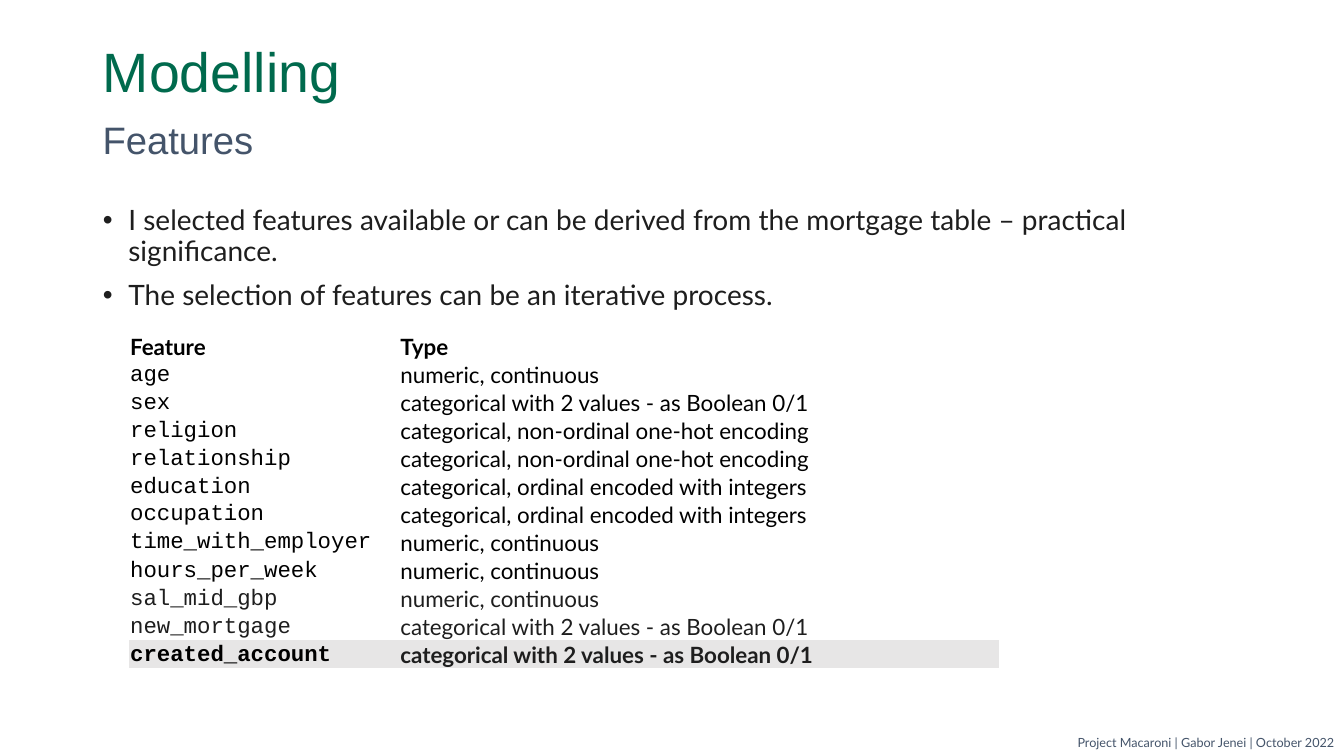
from pptx import Presentation
from pptx.dml.color import RGBColor
from pptx.enum.text import MSO_ANCHOR as Anchor, MSO_AUTO_SIZE as AutoSize, PP_ALIGN as Align
from pptx.util import Cm, Pt

TITLE = "Modelling"
SUBTITLE = "Features"
POINTS = [
    "I selected features available or can be derived from the mortgage table – practical significance.",
    "The selection of features can be an iterative process.",
]
FOOTER = "Project Macaroni | Gabor Jenei | October 2022"

NUMERIC = "numeric, continuous"
BOOLEAN = "categorical with 2 values - as Boolean 0/1"
ONE_HOT = "categorical, non-ordinal one-hot encoding"
ORDINAL = "categorical, ordinal encoded with integers"
HEADER = ("Feature", "Type")
FEATURES = [
    ("age", NUMERIC),
    ("sex", BOOLEAN),
    ("religion", ONE_HOT),
    ("relationship", ONE_HOT),
    ("education", ORDINAL),
    ("occupation", ORDINAL),
    ("time_with_employer", NUMERIC),
    ("hours_per_week", NUMERIC),
    ("sal_mid_gbp", NUMERIC),
    ("new_mortgage", BOOLEAN),
    ("created_account", BOOLEAN),
]
DARK_TEXT = {"sal_mid_gbp", "new_mortgage"}
TARGET = "created_account"

COLORS = {
    "green": "006A4D",
    "slate": "44546A",
    "ink": "1E1E1E",
    "black": "000000",
    "highlight": "E7E6E6",
}
PLAIN_TABLE = "{2D5ABB26-0587-4C30-8999-92F81FD0307C}"

LEFT, WIDTH = Cm(2.34), Cm(29.21)
HEADING_HEIGHT = Cm(1.7)
COLUMN_WIDTHS = Cm(6.81), Cm(15.11)
ROW_HEIGHT = Cm(0.69)
CELL_INSET = Cm(0.03)


def place(shape, left, top, width, height):
    shape.left, shape.top, shape.width, shape.height = left, top, width, height


def style(paragraph, font, size, color, bold=False):
    paragraph.font.name = font
    paragraph.font.size = Pt(size)
    paragraph.font.bold = bold
    paragraph.font.color.rgb = RGBColor.from_string(COLORS[color])


def write_line(shape, text, font, size, color, align=Align.LEFT, anchor=Anchor.MIDDLE):
    frame = shape.text_frame
    frame.word_wrap = True
    frame.auto_size = AutoSize.NONE
    frame.vertical_anchor = anchor
    frame.text = text
    line = frame.paragraphs[0]
    line.alignment = align
    line.line_spacing = 0.9
    style(line, font, size, color)


def fill_cell(cell, text, font, color, bold, anchor, highlighted):
    cell.margin_left = cell.margin_right = cell.margin_top = CELL_INSET
    cell.margin_bottom = 0
    cell.vertical_anchor = anchor
    if highlighted:
        cell.fill.solid()
        cell.fill.fore_color.rgb = RGBColor.from_string(COLORS["highlight"])
    else:
        cell.fill.background()
    cell.text = text
    style(cell.text_frame.paragraphs[0], font, 16, color, bold)


def add_points(body):
    place(body, LEFT, Cm(5.08), WIDTH, Cm(12.09))
    frame = body.text_frame
    frame.auto_size = AutoSize.NONE
    frame.text = "\n".join(POINTS)
    for index, point in enumerate(frame.paragraphs):
        properties = point._p.get_or_add_pPr()
        properties.set("marL", str(Cm(0.64)))
        properties.set("indent", str(-Cm(0.64)))
        point.line_spacing = 0.9
        point.space_before = Pt(10 if index else 0)
        style(point, "Lato", 20, "ink")


def add_features(slide):
    rows = len(FEATURES) + 1
    table = slide.shapes.add_table(
        rows, 2, Cm(3.25), Cm(8.38), sum(COLUMN_WIDTHS), rows * ROW_HEIGHT
    ).table
    table.first_row = table.horz_banding = False
    table._tbl.tblPr[0].text = PLAIN_TABLE
    for column, width in zip(table.columns, COLUMN_WIDTHS):
        column.width = width

    for cell, heading in zip(table.rows[0].cells, HEADER):
        fill_cell(cell, heading, "Lato", "black", True, Anchor.BOTTOM, False)
    for index, (feature, kind) in enumerate(FEATURES, start=1):
        is_target = feature == TARGET
        name_color = "ink" if feature in DARK_TEXT else "black"
        kind_color = "ink" if is_target else name_color
        name_anchor = Anchor.MIDDLE if index < 8 else Anchor.BOTTOM
        fill_cell(table.cell(index, 0), feature, "Courier New", name_color,
                  is_target, name_anchor, is_target)
        fill_cell(table.cell(index, 1), kind, "Lato", kind_color,
                  is_target, Anchor.BOTTOM, is_target)


def main():
    deck = Presentation()
    deck.slide_width, deck.slide_height = Cm(33.87), Cm(19.05)
    slide = deck.slides.add_slide(deck.slide_layouts[1])

    title = slide.shapes.title
    place(title, LEFT, Cm(1.02), WIDTH, HEADING_HEIGHT)
    write_line(title, TITLE, "Arial", 39.6, "green")
    add_points(slide.placeholders[1])

    subtitle = slide.shapes.add_textbox(LEFT, Cm(2.72), WIDTH, HEADING_HEIGHT)
    write_line(subtitle, SUBTITLE, "Arial", 27.3, "slate")
    footer = slide.shapes.add_textbox(Cm(8.47), Cm(18.44), Cm(25.4), Cm(0.61))
    write_line(footer, FOOTER, "Lato", 9, "slate", Align.RIGHT, Anchor.TOP)

    add_features(slide)
    deck.save("out.pptx")


if __name__ == "__main__":
    main()
